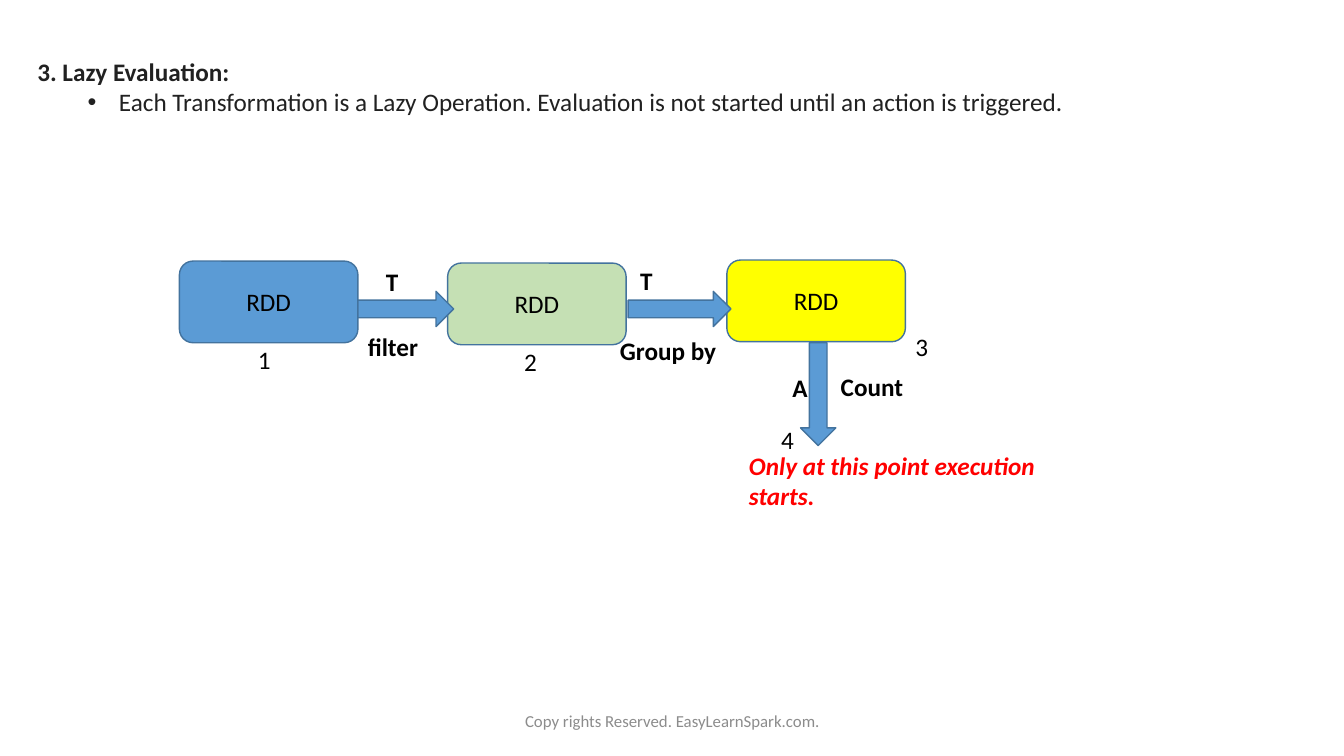
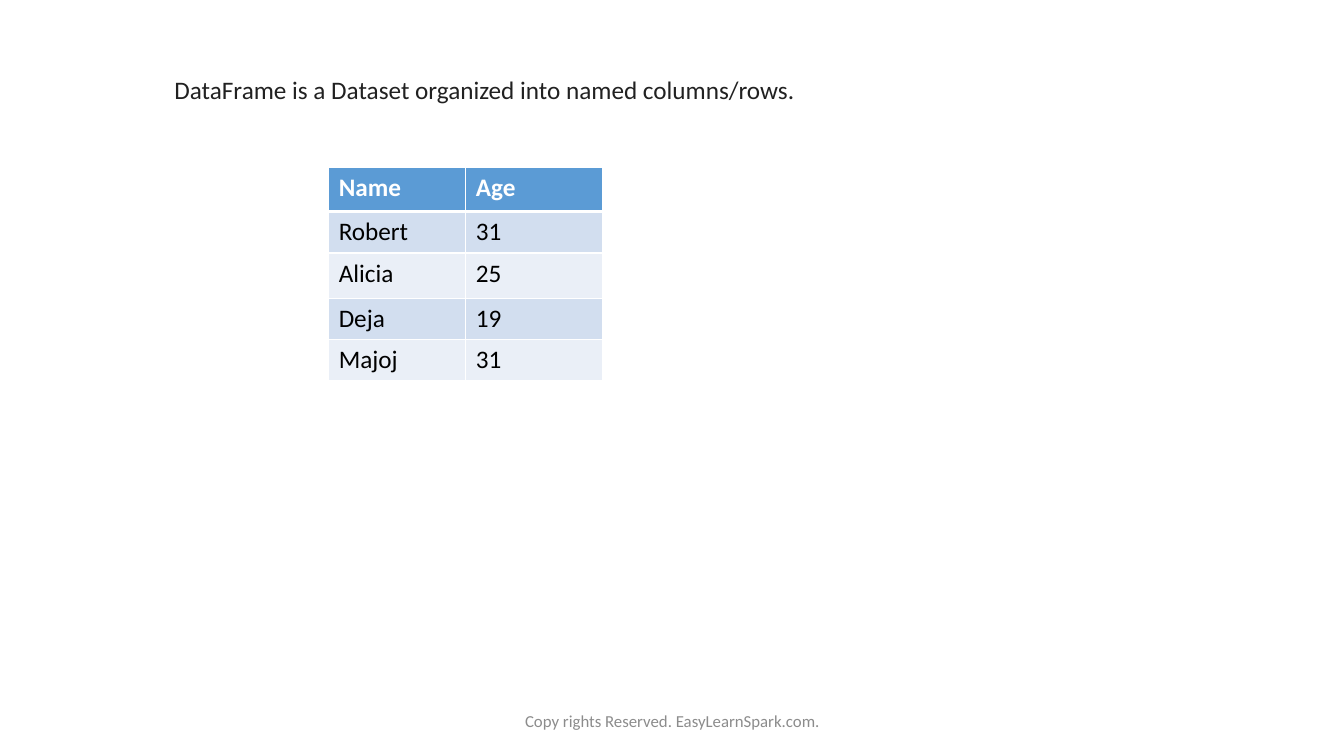
import pptx
import pptx.dml.color
import pptx.enum.shapes
import pptx.enum.text
import pptx.oxml
import pptx.oxml.ns
import pptx.util

PX = 9144
FONT = "Calibri"
COLORS = {
    "ink": "212121",
    "black": "000000",
    "white": "FFFFFF",
    "blue": "5B9BD5",
    "outline": "43739E",
    "green": "C5E0B4",
    "yellow": "FFFF00",
    "red": "FF0000",
    "footer": "8C8C8C",
    "band_dark": "D2DEEF",
    "band_light": "EAEFF7",
}
ALIGN = pptx.enum.text.PP_ALIGN
ANCHOR = pptx.enum.text.MSO_ANCHOR
SHAPE = pptx.enum.shapes.MSO_SHAPE


def px(*lengths):
    """Turn px lengths into EMU."""
    return [pptx.util.Emu(length * PX) for length in lengths]


def rgb(name):
    """Return the named colour."""
    return pptx.dml.color.RGBColor.from_string(COLORS[name])


def write_text(frame, text, size=18, color="black", bold=False, italic=False,
               align=ALIGN.LEFT, anchor=ANCHOR.TOP):
    """Put one formatted paragraph in a text frame and return it."""
    frame.word_wrap = True
    frame.auto_size = pptx.enum.text.MSO_AUTO_SIZE.NONE
    frame.vertical_anchor = anchor
    paragraph = frame.paragraphs[0]
    paragraph.alignment = align
    paragraph.space_before = pptx.util.Pt(0)
    run = paragraph.add_run()
    run.text = text
    font = run.font
    font.name, font.size = FONT, pptx.util.Pt(size)
    font.bold, font.italic = bold, italic
    font.color.rgb = rgb(color)
    return paragraph


def add_label(slide, box, text, **text_format):
    """Add a text box."""
    shape = slide.shapes.add_textbox(*px(*box))
    write_text(shape.text_frame, text, **text_format)


def add_block(slide, kind, box, fill, text=None):
    """Add an outlined shape with optional centred text."""
    shape = slide.shapes.add_shape(kind, *px(*box))
    shape.shadow.inherit = False
    shape.fill.solid()
    shape.fill.fore_color.rgb = rgb(fill)
    shape.line.color.rgb = rgb("outline")
    shape.line.width = pptx.util.Pt(1)
    if text:
        write_text(shape.text_frame, text, align=ALIGN.CENTER, anchor=ANCHOR.MIDDLE)


def fill_placeholder(shape, box, text, **text_format):
    """Move a placeholder, write its text and return the paragraph."""
    shape.left, shape.top, shape.width, shape.height = px(*box)
    return write_text(shape.text_frame, text, color="ink", **text_format)


def add_slide(presentation, layout_name, title, title_box, bold=False):
    """Add a slide with its title and the shared footer."""
    layout = presentation.slide_layouts.get_by_name(layout_name)
    slide = presentation.slides.add_slide(layout)
    fill_placeholder(slide.shapes.title, title_box, title, bold=bold)
    add_label(slide, (442, 695, 450, 40), "Copy rights Reserved. EasyLearnSpark.com.",
              size=12, color="footer", align=ALIGN.CENTER, anchor=ANCHOR.MIDDLE)
    return slide


def add_bullet(slide, box, text):
    """Write the bulleted line in the body placeholder."""
    paragraph = fill_placeholder(slide.placeholders[1], box, text)
    properties = paragraph._p.get_or_add_pPr()
    margin, hanging = px(81, 31)
    properties.set("marL", str(margin))
    properties.set("indent", str(-hanging))
    bullet = pptx.oxml.parse_xml(
        f'<a:buChar {pptx.oxml.ns.nsdecls("a")} char="•"/>')
    properties.append(bullet)


def add_pipeline(slide, left, top):
    """Draw the chain of RDDs, its arrows and its labels."""
    def place(x, y, width, height):
        """Shift a box to the pipeline's corner."""
        return left + x, top + y, width, height

    for x, y, fill in ((0, 1, "blue"), (266, 3, "green"), (543, 0, "yellow")):
        add_block(slide, SHAPE.ROUNDED_RECTANGLE, place(x, y, 177, 81), fill, "RDD")
    arrows = (
        (SHAPE.RIGHT_ARROW, 177, 31, 95, 35),
        (SHAPE.RIGHT_ARROW, 445, 31, 102, 35),
        (SHAPE.DOWN_ARROW, 616, 82, 35, 102),
    )
    for kind, *box in arrows:
        add_block(slide, kind, place(*box), "blue")
    steps = (
        ("T", 195, 1, 68), ("filter", 177, 66, 92),
        ("T", 447, 0, 68), ("Group by", 427, 70, 120),
        ("A", 598, 106, 68), ("Count", 646, 105, 120),
    )
    for text, x, y, width in steps:
        add_label(slide, place(x, y, width, 40), text, bold=True)
    add_label(slide, place(555, 184, 348, 71), "Only at this point execution starts.",
              color="red", bold=True, italic=True)
    for number, (x, y) in enumerate(((68, 79), (332, 81), (720, 66), (587, 158)), 1):
        add_label(slide, place(x, y, 40, 40), str(number))


def set_borders(cell, **widths):
    """Give a cell white borders of the given widths in points."""
    properties = cell._tc.get_or_add_tcPr()
    for index, side in enumerate("LRTB"):
        width = pptx.util.Pt(widths.get(side, 1))
        border = pptx.oxml.parse_xml(
            f'<a:ln{side} {pptx.oxml.ns.nsdecls("a")} w="{width}"><a:solidFill>'
            f'<a:srgbClr val="{COLORS["white"]}"/></a:solidFill></a:ln{side}>')
        properties.insert(index, border)


def add_people_table(slide, left, top):
    """Add the table of names and ages."""
    rows = (("Name", "Age"), ("Robert", "31"), ("Alicia", "25"),
            ("Deja", "19"), ("Majoj", "31"))
    heights = (44, 41, 45, 41, 41)
    column_width = 136
    table = slide.shapes.add_table(
        len(rows), 2, *px(left, top, 2 * column_width, sum(heights))).table
    table.horz_banding = False
    for column in table.columns:
        column.width = px(column_width)[0]
    for row_index, values in enumerate(rows):
        table.rows[row_index].height = px(heights[row_index])[0]
        header = row_index == 0
        band = "band_dark" if row_index % 2 else "band_light"
        borders = {0: {"B": 3}, 1: {"T": 3}}.get(row_index, {})
        for column_index, value in enumerate(values):
            cell = table.cell(row_index, column_index)
            cell.fill.solid()
            cell.fill.fore_color.rgb = rgb("blue" if header else band)
            set_borders(cell, **borders)
            write_text(cell.text_frame, value, bold=header,
                       color="white" if header else "black")


def build_lazy_evaluation(presentation):
    """Build the slide on lazy evaluation."""
    slide = add_slide(presentation, "Title and Content", "3. Lazy Evaluation:",
                      (27, 51, 1174, 40), bold=True)
    add_bullet(slide, (27, 81, 1174, 40),
               "Each Transformation is a Lazy Operation. "
               "Evaluation is not started until an action is triggered.")
    add_pipeline(slide, 178, 258)


def build_dataframe(presentation):
    """Build the slide on the DataFrame."""
    slide = add_slide(presentation, "Title Only",
                      "DataFrame is a Dataset organized into named columns/rows.",
                      (163, 69, 871, 40))
    add_people_table(slide, 326, 166)


def main():
    """Build and save the presentation."""
    presentation = pptx.Presentation()
    presentation.slide_width, presentation.slide_height = px(1333, 750)
    build_lazy_evaluation(presentation)
    build_dataframe(presentation)
    presentation.save("out.pptx")


if __name__ == "__main__":
    main()
